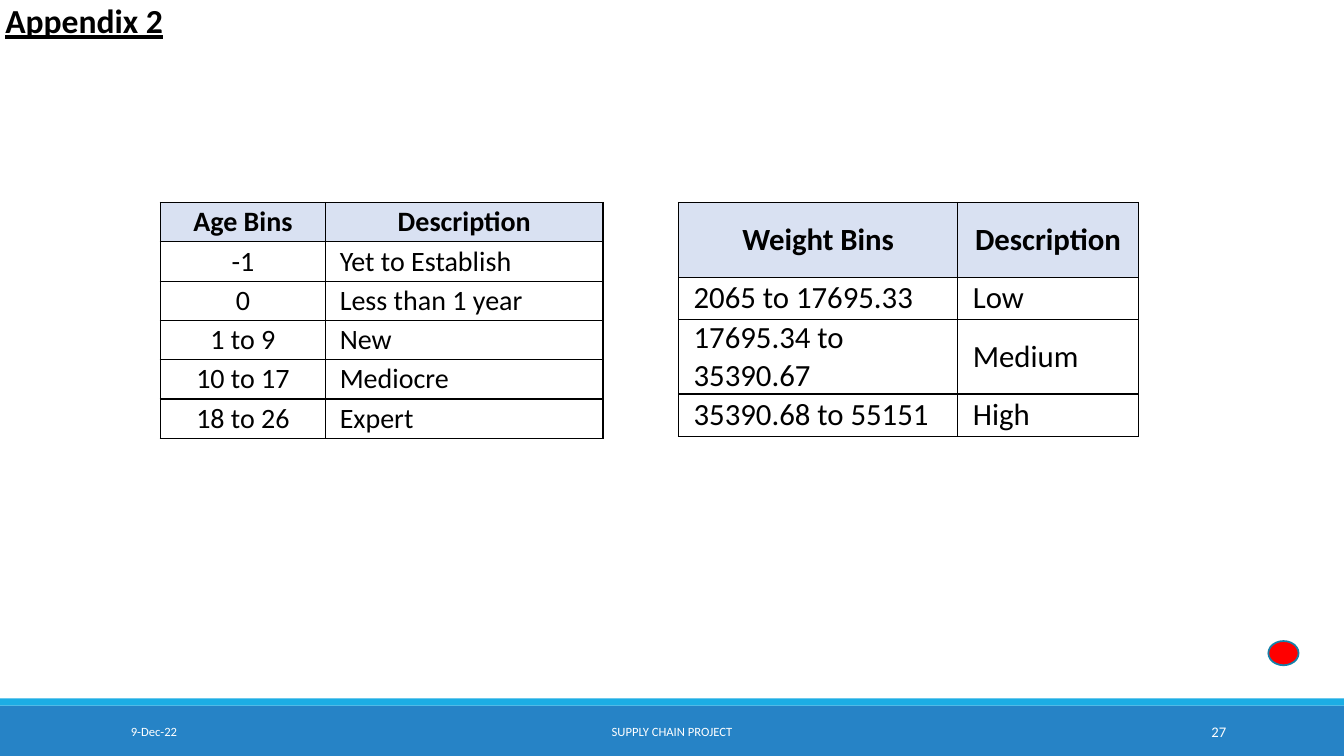
import dataclasses

import pptx
import pptx.dml.color
import pptx.enum.shapes
import pptx.enum.text
import pptx.oxml
import pptx.oxml.ns
import pptx.util

Inches = pptx.util.Inches
ALIGN = pptx.enum.text.PP_ALIGN
MIDDLE = pptx.enum.text.MSO_ANCHOR.MIDDLE
SHAPE = pptx.enum.shapes.MSO_SHAPE


@dataclasses.dataclass(frozen=True)
class Theme:
    """Colours, font and type sizes of the slide."""
    font: str = "Calibri"
    ink: str = "000000"
    white: str = "FFFFFF"
    header: str = "D9E1F2"
    band: str = "2683C6"
    stripe: str = "1CADE4"
    marker: str = "FF0000"
    marker_line: str = "1580A9"
    title_size: float = 24
    age_size: float = 20
    weight_size: float = 22
    footer_size: float = 9
    number_size: float = 10.5


THEME = Theme()

AGE_ROWS = [
    ("Age Bins", "Description"),
    ("-1", "Yet to Establish"),
    ("0", "Less than 1 year"),
    ("1 to 9", "New"),
    ("10 to 17", "Mediocre"),
    ("18 to 26", "Expert"),
]
WEIGHT_ROWS = [
    ("Weight Bins", "Description"),
    ("2065 to 17695.33", "Low"),
    ("17695.34 to 35390.67", "Medium"),
    ("35390.68 to 55151", "High"),
]


def rgb(value):
    """Return the colour for a hex string."""
    return pptx.dml.color.RGBColor.from_string(value)


def write(tf, text, size, color, align, bold=False, underline=False):
    """Write one formatted run into the first paragraph of a text frame."""
    p = tf.paragraphs[0]
    p.alignment = align
    r = p.add_run()
    r.text = text
    r.font.name = THEME.font
    r.font.size = pptx.util.Pt(size)
    r.font.color.rgb = rgb(color)
    r.font.bold = bold
    r.font.underline = underline


def add_block(s, shape, box, fill, line=None):
    """Draw a filled shape in a box, with an outline if a colour is given."""
    sp = s.shapes.add_shape(shape, *map(Inches, box))
    sp.shadow.inherit = False
    sp.fill.solid()
    sp.fill.fore_color.rgb = rgb(fill)
    if line:
        sp.line.color.rgb = rgb(line)
        sp.line.width = pptx.util.Pt(1.25)
    else:
        sp.line.fill.background()


def add_title(s, box, text):
    """Place the slide title in its placeholder."""
    sp = s.shapes.title
    sp.left, sp.top, sp.width, sp.height = map(Inches, box)
    tf = sp.text_frame
    tf.auto_size = pptx.enum.text.MSO_AUTO_SIZE.NONE
    tf.vertical_anchor = pptx.enum.text.MSO_ANCHOR.TOP
    write(tf, text, THEME.title_size, THEME.ink, ALIGN.CENTER, True, True)


def add_footer(s, box):
    """Draw the footer bands with date, project name and slide number."""
    left, top, width, height = box
    stripe = 0.07
    add_block(s, SHAPE.RECTANGLE, (left, top + stripe, width, height - stripe), THEME.band)
    add_block(s, SHAPE.RECTANGLE, (left, top, width, stripe), THEME.stripe)
    items = [
        (1.2, 2.7, "9-Dec-22", THEME.footer_size, ALIGN.LEFT),
        (4.03, 5.27, "SUPPLY CHAIN PROJECT", THEME.footer_size, ALIGN.CENTER),
        (10.83, 1.43, "27", THEME.number_size, ALIGN.RIGHT),
    ]
    for x, w, text, size, align in items:
        sp = s.shapes.add_textbox(Inches(left + x), Inches(top + 0.13), Inches(w), Inches(0.4))
        tf = sp.text_frame
        tf.word_wrap = True
        tf.vertical_anchor = MIDDLE
        write(tf, text, size, THEME.white, align)


def set_borders(cell):
    """Give a cell thin solid lines on all four sides."""
    tc_pr = cell._tc.get_or_add_tcPr()
    for i, side in enumerate(("lnL", "lnR", "lnT", "lnB")):
        ln = pptx.oxml.parse_xml(
            f'<a:{side} {pptx.oxml.ns.nsdecls("a")} w="12700"><a:solidFill>'
            f'<a:srgbClr val="{THEME.ink}"/></a:solidFill></a:{side}>')
        tc_pr.insert(i, ln)


def add_bins(s, box, rows, col_widths, row_heights, size, inset, first_align):
    """Build a table of bins with a shaded header row."""
    table = s.shapes.add_table(len(rows), len(col_widths), *map(Inches, box)).table
    table.horz_banding = False
    for col, width in zip(table.columns, col_widths):
        col.width = Inches(width)
    for i, (row, height) in enumerate(zip(rows, row_heights)):
        table.rows[i].height = Inches(height)
        for j, text in enumerate(row):
            cell = table.cell(i, j)
            cell.margin_left = cell.margin_right = Inches(inset)
            cell.margin_top = cell.margin_bottom = 0
            cell.vertical_anchor = MIDDLE
            if i == 0:
                cell.fill.solid()
                cell.fill.fore_color.rgb = rgb(THEME.header)
                align = ALIGN.CENTER
            else:
                cell.fill.background()
                align = first_align if j == 0 else ALIGN.LEFT
            set_borders(cell)
            write(cell.text_frame, text, size, THEME.ink, align, bold=i == 0)


def build_appendix(prs):
    """Add the appendix slide with its two tables of bins."""
    s = prs.slides.add_slide(prs.slide_layouts[5])
    add_footer(s, (0, 6.93, 13.33, 0.57))
    add_block(s, SHAPE.OVAL, (12.58, 6.36, 0.3, 0.24), THEME.marker, THEME.marker_line)
    add_bins(s, (1.59, 2.01, 4.39, 2.33), AGE_ROWS, (1.64, 2.75),
             [0.39] * len(AGE_ROWS), THEME.age_size, 0.14, ALIGN.CENTER)
    add_bins(s, (6.73, 2.01, 4.56, 2.33), WEIGHT_ROWS, (2.77, 1.79),
             [0.74, 0.42] * 2, THEME.weight_size, 0.15, ALIGN.LEFT)
    add_title(s, (-0.15, -0.05, 1.97, 0.5), "Appendix 2")


def main():
    """Create the presentation and save it."""
    prs = pptx.Presentation()
    prs.slide_width, prs.slide_height = Inches(13.33), Inches(7.5)
    build_appendix(prs)
    prs.save("out.pptx")


if __name__ == "__main__":
    main()
